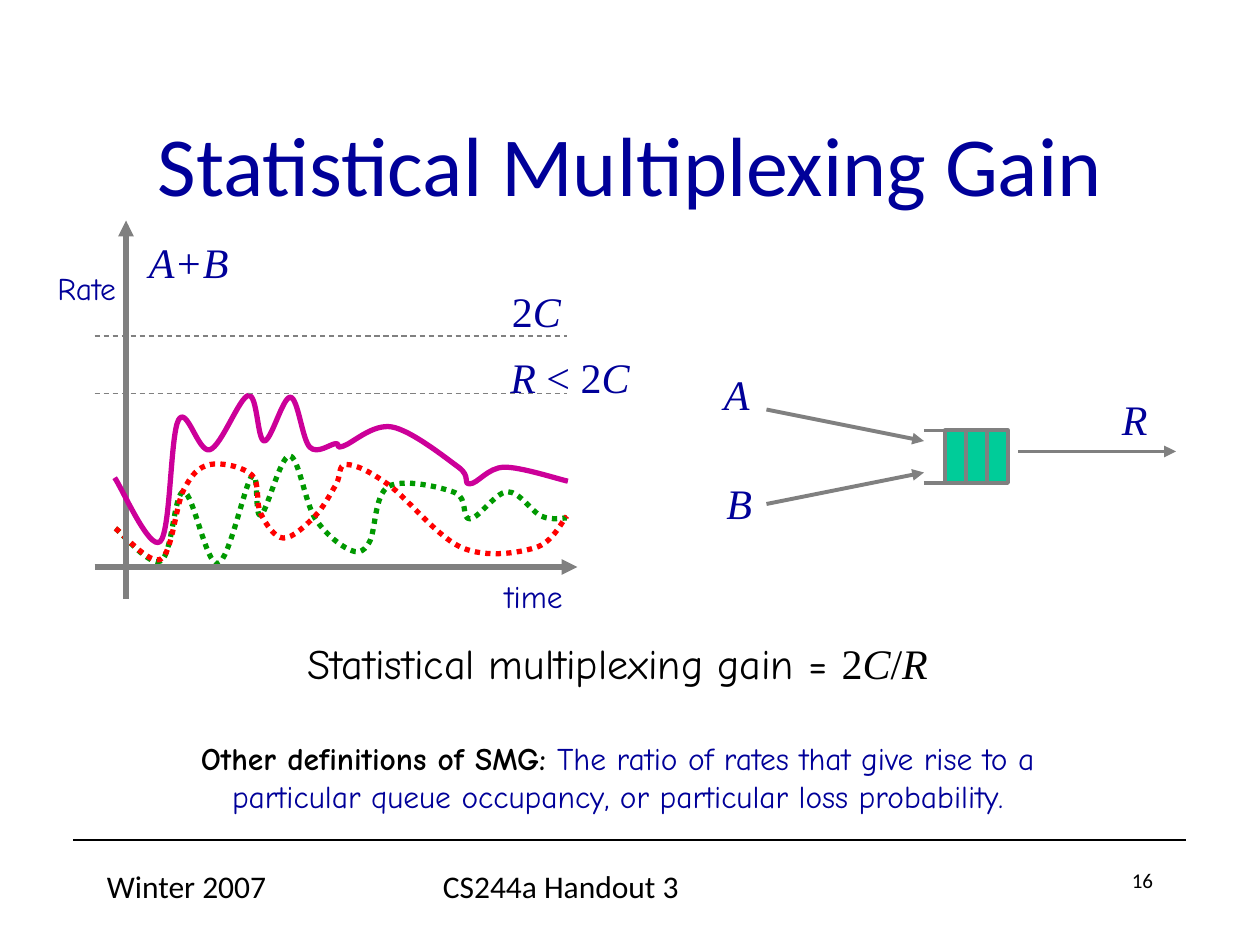
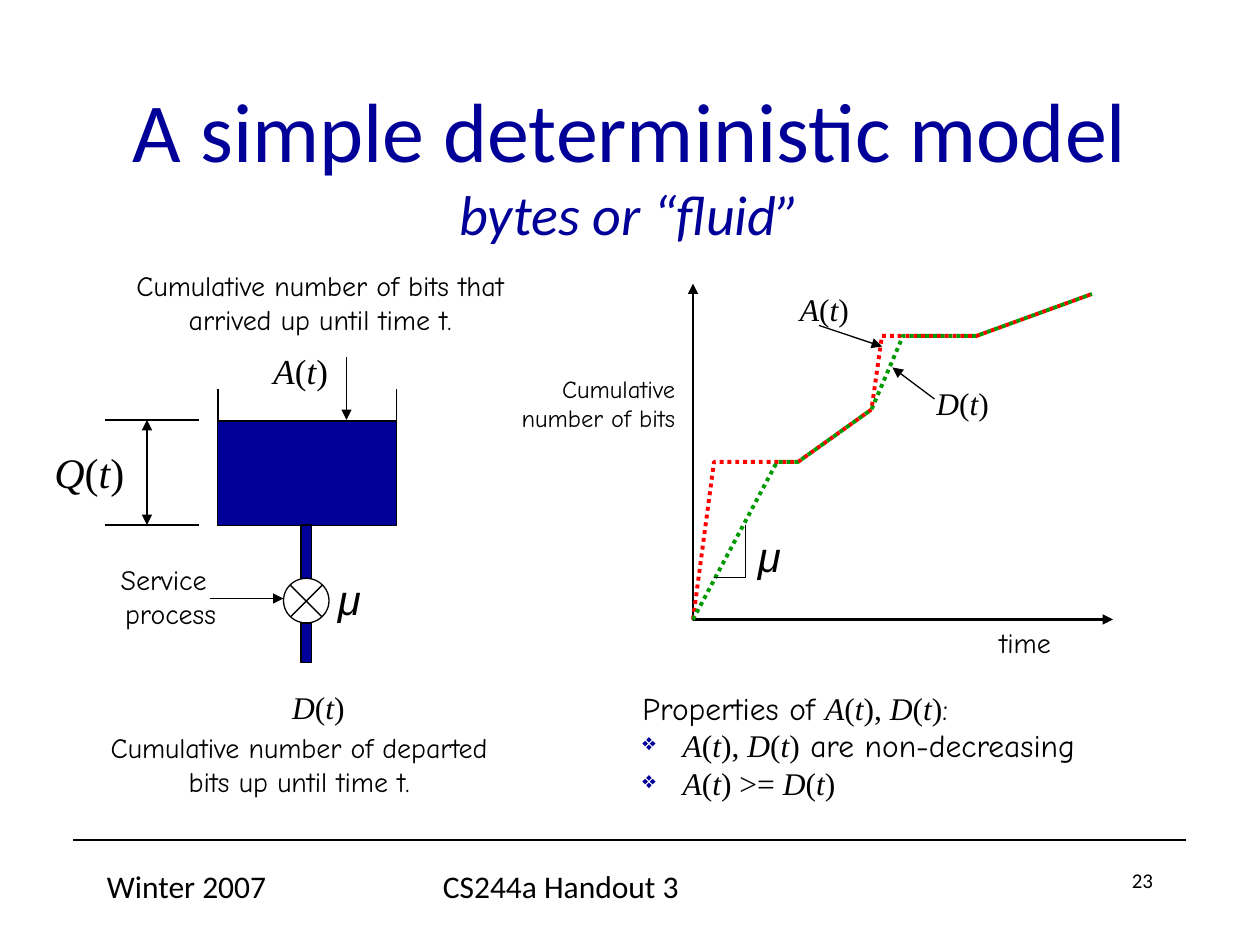
from dataclasses import dataclass
from itertools import groupby

from lxml import etree
from pptx import Presentation
from pptx.dml.color import RGBColor
from pptx.enum.dml import MSO_LINE
from pptx.enum.shapes import MSO_CONNECTOR, MSO_SHAPE
from pptx.enum.text import MSO_ANCHOR, MSO_AUTO_SIZE, PP_ALIGN
from pptx.oxml.ns import qn
from pptx.util import Pt

LEFT, CENTER, RIGHT = PP_ALIGN.LEFT, PP_ALIGN.CENTER, PP_ALIGN.RIGHT
TOP, MIDDLE = MSO_ANCHOR.TOP, MSO_ANCHOR.MIDDLE
RECT, OVAL = MSO_SHAPE.RECTANGLE, MSO_SHAPE.OVAL
DOT, DASH = MSO_LINE.ROUND_DOT, MSO_LINE.DASH
STRAIGHT = MSO_CONNECTOR.STRAIGHT
FIT = MSO_AUTO_SIZE.SHAPE_TO_FIT_TEXT
END, BOTH = ("tailEnd",), ("headEnd", "tailEnd")


@dataclass(frozen=True)
class Theme:
    navy: str = "000099"
    black: str = "000000"
    gray: str = "808080"
    teal: str = "00CC99"
    green: str = "009900"
    red: str = "FF0000"
    magenta: str = "CC0099"
    plain: str = "Calibri"
    hand: str = "Comic Neue"
    serif: str = "Times New Roman"
    symbol: str = "Arial"
    title: int = 48
    subtitle: int = 32
    large: int = 24
    medium: int = 20
    body: int = 18
    label: int = 16
    small: int = 14
    page: int = 12
    thin: float = 0.75
    medium_line: float = 2.25
    thick: float = 3


T = Theme()


def words(text, font=T.hand, **look):
    """One run of text with its look."""
    return [(text, {"name": font, **look})]


def formula(text):
    """Runs of a formula: letters italic, everything else upright."""
    return [("".join(chars), {"name": T.serif, "italic": is_letter})
            for is_letter, chars in groupby(text, str.isalpha)]


def smooth(points):
    """Bezier points of a Catmull-Rom curve through the given points."""
    padded = [points[0], *points, points[-1]]
    curve = [points[0]]
    for a, b, c, d in zip(padded, padded[1:], padded[2:], padded[3:]):
        curve.append(tuple(q + (r - p) / 6 for p, q, r in zip(a, b, c)))
        curve.append(tuple(r - (s - q) / 6 for q, r, s in zip(b, c, d)))
        curve.append(c)
    return curve


class Deck:
    def __init__(self, theme):
        self.theme = theme
        self.prs = Presentation()
        self.prs.slide_width, self.prs.slide_height = Pt(720), Pt(540)
        self.slide = None

    def new_slide(self, title, number):
        """Start a slide with its title, footer rule and footer texts."""
        t = self.theme
        self.slide = self.prs.slides.add_slide(self.prs.slide_layouts[6])
        self.line((42, 480), (678, 480))
        for x, w, text, size, align in (
                (54, 150, "Winter 2007", t.body, LEFT),
                (246, 228, "CS244a Handout 3", t.body, LEFT),
                (516, 150, str(number), t.page, RIGHT)):
            self.text((x, 492, w, 36), [words(text, t.plain)], size, align=align, wrap=True)
        self.text((54, 48, 612, 90), [words(title, t.plain)], t.title, t.navy,
                  CENTER, wrap=True, anchor=MIDDLE)

    def text(self, box, paragraphs, size, color=T.black, align=LEFT, wrap=False, anchor=TOP):
        """A text box; each paragraph is a list of (text, look) runs."""
        sp = self.slide.shapes.add_textbox(*map(Pt, box))
        tf = sp.text_frame
        tf.word_wrap, tf.vertical_anchor = wrap, anchor
        if not wrap:
            tf.auto_size = FIT
        for i, runs in enumerate(paragraphs):
            p = tf.paragraphs[0] if i == 0 else tf.add_paragraph()
            p.alignment = align
            for text, look in runs:
                before = len(p.runs)
                if "\v" in text:
                    p.text = text
                else:
                    p.add_run().text = text
                for r in p.runs[before:]:
                    self.font(r.font, {"size": size, "color": color, **look})
        return tf

    def font(self, font, look):
        font.name = look["name"]
        font.size = Pt(look["size"])
        font.color.rgb = RGBColor.from_string(look["color"])
        font.bold = look.get("bold", False)
        font.italic = look.get("italic", False)

    def bullet(self, p):
        """Give a paragraph a diamond bullet and a hanging indent."""
        pPr = p._p.get_or_add_pPr()
        pPr.set("marL", str(Pt(23)))
        pPr.set("indent", str(-Pt(23)))
        color = etree.SubElement(pPr, qn("a:buClr"))
        etree.SubElement(color, qn("a:srgbClr"), val=self.theme.navy)
        etree.SubElement(pPr, qn("a:buSzPct"), val="75000")
        etree.SubElement(pPr, qn("a:buChar"), char="❖")

    def stroke(self, sp, color, width, dash=None, arrows=()):
        sp.line.color.rgb = RGBColor.from_string(color)
        sp.line.width = Pt(width)
        if dash:
            sp.line.dash_style = dash
        ln = sp._element.spPr.find(qn("a:ln"))
        for end in arrows:
            etree.SubElement(ln, qn(f"a:{end}"), type="triangle")

    def line(self, start, end, color=T.black, width=T.thin, dash=None, arrows=()):
        sp = self.slide.shapes.add_connector(STRAIGHT, *map(Pt, (*start, *end)))
        self.stroke(sp, color, width, dash, arrows)
        etree.SubElement(sp._element.spPr, qn("a:effectLst"))

    def shape(self, kind, box, fill=None, color=T.black, width=T.thin):
        sp = self.slide.shapes.add_shape(kind, *map(Pt, box))
        sp.shadow.inherit = False
        if fill:
            sp.fill.solid()
            sp.fill.fore_color.rgb = RGBColor.from_string(fill)
        else:
            sp.fill.background()
        self.stroke(sp, color, width)

    def polyline(self, points, color=T.black, width=T.thin, dash=None, arrows=()):
        start, *rest = [(Pt(x), Pt(y)) for x, y in points]
        builder = self.slide.shapes.build_freeform(*start)
        builder.add_line_segments(rest, close=False)
        sp = builder.convert_to_shape()
        sp.shadow.inherit = False
        sp.fill.background()
        self.stroke(sp, color, width, dash, arrows)
        return sp

    def curve(self, points, color, dash=None):
        """A smooth curve: every three line segments become one Bezier segment."""
        sp = self.polyline(smooth(points), color, self.theme.thick, dash)
        segments = list(sp._element.iter(qn("a:lnTo")))
        for i in range(0, len(segments), 3):
            bezier = etree.Element(qn("a:cubicBezTo"))
            segments[i].addprevious(bezier)
            for segment in segments[i:i + 3]:
                bezier.append(segment[0])
                segment.getparent().remove(segment)


def multiplexing_gain(deck):
    deck.new_slide("Statistical Multiplexing Gain", 16)

    # Two sources feeding a queue
    for y, tip in ((234, 252), (288, 270)):
        deck.line((438, y), (528, tip), T.gray, T.medium_line, arrows=END)
    for i in range(3):
        deck.shape(RECT, (540 + 12 * i, 246, 12, 30), T.teal, T.gray, T.medium_line)
    for y in (246, 276):
        deck.line((528, y), (552, y), T.gray, T.medium_line)
    deck.line((582, 258), (672, 258), T.gray, T.medium_line, arrows=END)
    for x, y, name in ((406.5, 207, "A"), (408, 269.5, "B"), (634, 221.5, "R")):
        deck.text((x, y, 32, 36), [formula(name)], T.large, T.navy)

    # Rates of A and B
    deck.curve([(66, 302), (92, 320.5), (105, 281), (124.5, 322), (144, 272), (149, 294.5),
                (165.5, 260.5), (180, 296), (199.5, 314), (211, 310), (222, 278),
                (260, 281.5), (268.5, 296.5), (290, 281), (309.5, 295), (324, 296)],
               T.green, DOT)
    deck.curve([(66, 302), (92, 319.5), (105, 280), (120, 265.5), (144, 271.5), (149, 293.5),
                (162, 307.5), (180, 295), (192, 277), (198, 265.5), (222, 277),
                (264, 313), (306, 313), (324, 295)], T.red, DOT)

    # Axes
    deck.line((72, 342), (72, 126), T.gray, T.thick, arrows=END)
    deck.line((54, 324), (330, 324), T.gray, T.thick, arrows=END)

    # Combined rate and its limits
    deck.curve([(65.5, 273), (91.5, 309.5), (102, 240), (120, 257), (142, 226), (151, 252),
                (166, 227), (177, 255.5), (192, 253.5), (196, 255), (224, 244),
                (262, 267), (268.5, 276.5), (288, 267), (324.5, 275)], T.magenta)
    for y in (225, 192):
        deck.line((54, y), (324, y), T.gray, dash=DASH)
    deck.text((285.5, 159.5, 50, 36), [formula("2C")], T.large, T.navy)
    deck.text((284.5, 197.5, 90, 36), [formula("R < 2C")], T.large, T.navy)
    deck.text((78, 131.5, 64, 36), [words("A+B", T.serif, italic=True)], T.large, T.navy)
    deck.text((279, 326, 52, 29), [words("time")], T.body, T.navy, CENTER)
    deck.text((22.5, 150, 54, 29), [words("Rate")], T.body, T.navy, CENTER)

    # Definitions
    tf = deck.text((68, 361, 570, 108), [
        words("Statistical multiplexing gain = ", size=T.large)
        + [(text, {**look, "size": T.large}) for text, look in formula("2C/R")],
        words("Other definitions of SMG: ", bold=True)
        + words("The ratio of rates that give rise to a particular queue occupancy, "
                "or particular loss probability.", color=T.navy),
    ], T.body, align=CENTER, wrap=True)
    tf.paragraphs[1].space_before = Pt(29)


def deterministic_model(deck):
    deck.new_slide("A simple deterministic model\vbytes or “fluid”", 23)
    subtitle = deck.slide.shapes[-1].text_frame.paragraphs[0].runs[1]
    subtitle.font.size, subtitle.font.italic = Pt(T.subtitle), True

    # Tank, outlet pipe and valve
    for x in (124.5, 226.5):
        deck.line((x, 222.5), (x, 300))
    for box in ((124.5, 240.5, 102, 60), (172, 300, 6, 30.5), (172, 356, 6, 22.5)):
        deck.shape(RECT, box, T.navy)
    deck.shape(OVAL, (162, 330.5, 26, 25.5))
    for x1, x2 in ((166, 184), (184, 166)):
        deck.line((x1, 334.5), (x2, 352.5))
    deck.line((198, 204), (198, 240), arrows=END)
    deck.line((120, 342), (162, 342), arrows=END)

    # Backlog bracket
    for y in (240, 300):
        deck.line((60, y), (114, y))
    deck.line((84, 240), (84, 300), arrows=BOTH)

    # Tank labels
    deck.text((144.5, 196, 50, 31), [formula("A(t)")], T.medium, align=RIGHT)
    deck.text((154, 389.5, 50, 29), [formula("D(t)")], T.body, align=RIGHT)
    deck.text((24, 251.5, 60, 36), [formula("Q(t)")], T.large)
    deck.text((66, 150, 234, 46), [words("Cumulative number of bits that arrived up until time t.")],
              T.label, align=CENTER, wrap=True)
    deck.text((54, 414, 234, 46),
              [words("Cumulative number of departed bits up until time t.")],
              T.label, align=CENTER, wrap=True)
    deck.text((54, 318, 76.5, 46), [words("Service "), words("process")],
              T.label, align=RIGHT, wrap=True)

    # Arrival and departure graph
    deck.polyline([(396, 162), (396, 354), (636, 354)], width=1.5, arrows=BOTH)
    for color, first_x, second_x in ((T.red, 408, 504), (T.green, 444, 516)):
        deck.polyline([(396, 354), (first_x, 264), (456, 264), (498, 234),
                       (second_x, 192), (558, 192), (624, 168)], color, T.medium_line, DOT)
    deck.polyline([(408, 330), (426, 330), (426, 300)])
    deck.line((534, 228), (510, 210), arrows=END)
    deck.line((468, 186), (504, 198), arrows=END)

    # Graph labels
    deck.text((278, 210, 115, 41), [words("Cumulative"), words("number of bits")],
              T.small, align=RIGHT)
    deck.text((564, 354, 48, 27), [words("time")], T.label, wrap=True)
    for x, y, name in ((450, 162, "A(t)"), (528, 216, "D(t)")):
        deck.text((x, y, 50, 29), [formula(name)], T.body)
    for x, y in ((426, 299.5), (186, 324)):
        deck.text((x, y, 32, 36), [words("μ", T.symbol, italic=True)], T.large)

    # Properties
    tf = deck.text((360, 390, 270, 72), [
        words("Properties of ") + formula("A(t), D(t)") + words(":"),
        formula("A(t), D(t)") + words(" are non-decreasing"),
        formula("A(t) >= D(t)"),
    ], T.body)
    for p in tf.paragraphs[1:]:
        deck.bullet(p)


def main():
    deck = Deck(T)
    multiplexing_gain(deck)
    deterministic_model(deck)
    deck.prs.save("out.pptx")


if __name__ == "__main__":
    main()
